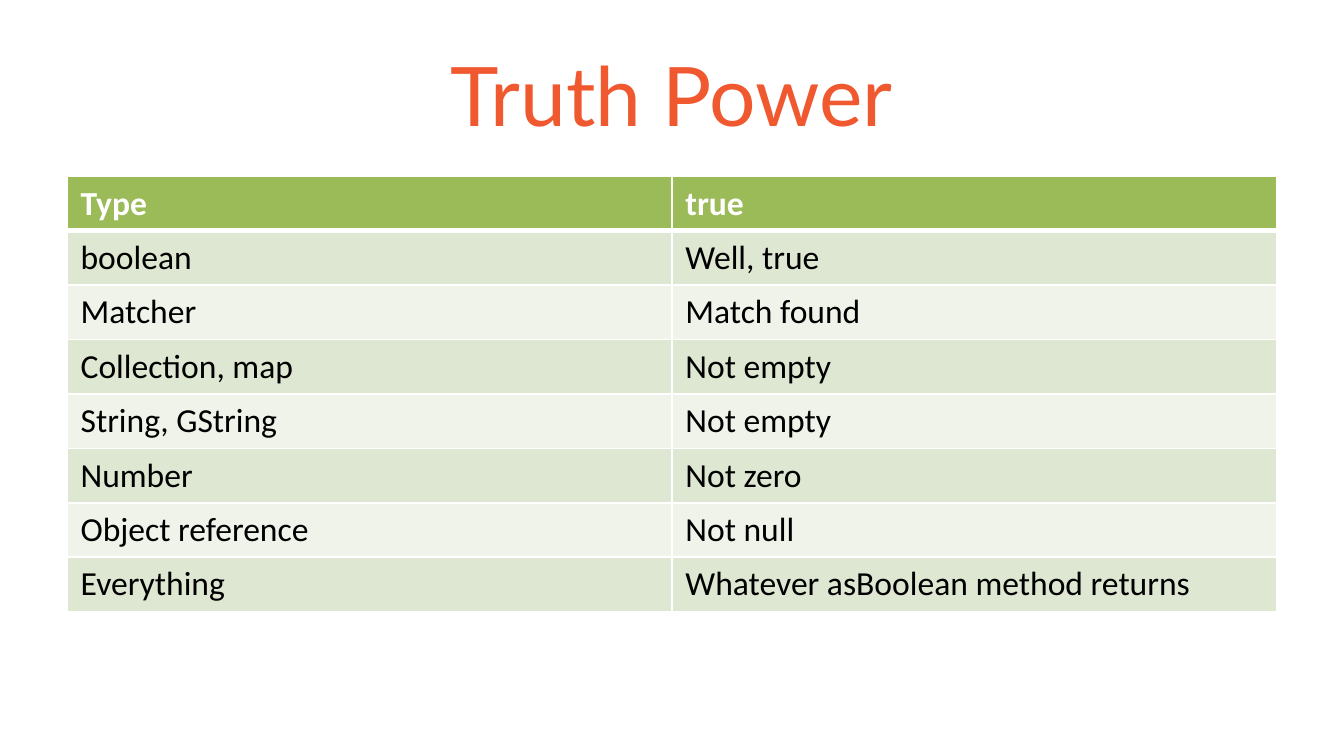
from dataclasses import dataclass

from lxml.etree import SubElement
from pptx import Presentation
from pptx.dml.color import RGBColor
from pptx.enum.text import MSO_ANCHOR, PP_ALIGN
from pptx.oxml.ns import qn
from pptx.util import Pt


@dataclass(frozen=True)
class Theme:
    title: str = "F05930"
    head: str = "9BBB59"
    dark: str = "DEE7D1"
    light: str = "EFF3EA"
    white: str = "FFFFFF"
    black: str = "000000"
    title_font: str = "Lato"
    body_font: str = "Calibri"
    title_size: float = 44
    body_size: float = 18


@dataclass(frozen=True)
class Row:
    kind: str
    truth: str


@dataclass(frozen=True)
class Style:
    font: str
    size: float
    color: str
    bold: bool = False


THEME = Theme()
LEFT, WIDTH = 36, 648
ROW_HIGH = 29.16
ROWS = [
    Row("Type", "true"),
    Row("boolean", "Well, true"),
    Row("Matcher", "Match found"),
    Row("Collection, map", "Not empty"),
    Row("String, GString", "Not empty"),
    Row("Number", "Not zero"),
    Row("Object reference", "Not null"),
    Row("Everything", "Whatever asBoolean method returns"),
]


def add_run(para, text: str, style: Style) -> None:
    run = para.add_run()
    run.text = text
    run.font.name = style.font
    run.font.size = Pt(style.size)
    run.font.bold = style.bold
    run.font.color.rgb = RGBColor.from_string(style.color)


def add_title(slide, text: str) -> None:
    box = slide.shapes.add_textbox(Pt(LEFT), Pt(16.2), Pt(WIDTH), Pt(67.5))
    frame = box.text_frame
    frame.word_wrap = True
    frame.vertical_anchor = MSO_ANCHOR.MIDDLE
    para = frame.paragraphs[0]
    para.alignment = PP_ALIGN.CENTER
    add_run(para, text, Style(THEME.title_font, THEME.title_size, THEME.title))


def set_edges(cell, top: float, bottom: float) -> None:
    """Draw white cell borders; call before the fill is set."""
    props = cell._tc.get_or_add_tcPr()
    for side, width in (("L", 1), ("R", 1), ("T", top), ("B", bottom)):
        line = SubElement(props, qn(f"a:ln{side}"), w=str(Pt(width)))
        fill = SubElement(line, qn("a:solidFill"))
        SubElement(fill, qn("a:srgbClr"), val=THEME.white)


def add_grid(slide, rows: list[Row]) -> None:
    high = ROW_HIGH * len(rows)
    table = slide.shapes.add_table(
        len(rows), 2, Pt(LEFT), Pt(94.5), Pt(WIDTH), Pt(high)
    ).table
    head = Style(THEME.body_font, THEME.body_size, THEME.white, True)
    body = Style(THEME.body_font, THEME.body_size, THEME.black)
    for i, row in enumerate(rows):
        table.rows[i].height = Pt(ROW_HIGH)
        band = THEME.dark if i % 2 else THEME.light
        for j, text in enumerate((row.kind, row.truth)):
            cell = table.cell(i, j)
            set_edges(cell, 3 if i == 1 else 1, 3 if i == 0 else 1)
            cell.fill.solid()
            cell.fill.fore_color.rgb = RGBColor.from_string(band if i else THEME.head)
            add_run(cell.text_frame.paragraphs[0], text, body if i else head)


def main() -> None:
    deck = Presentation()
    deck.slide_width, deck.slide_height = Pt(720), Pt(405)
    slide = deck.slides.add_slide(deck.slide_layouts[6])
    add_title(slide, "Truth Power")
    add_grid(slide, ROWS)
    deck.save("out.pptx")


if __name__ == "__main__":
    main()
